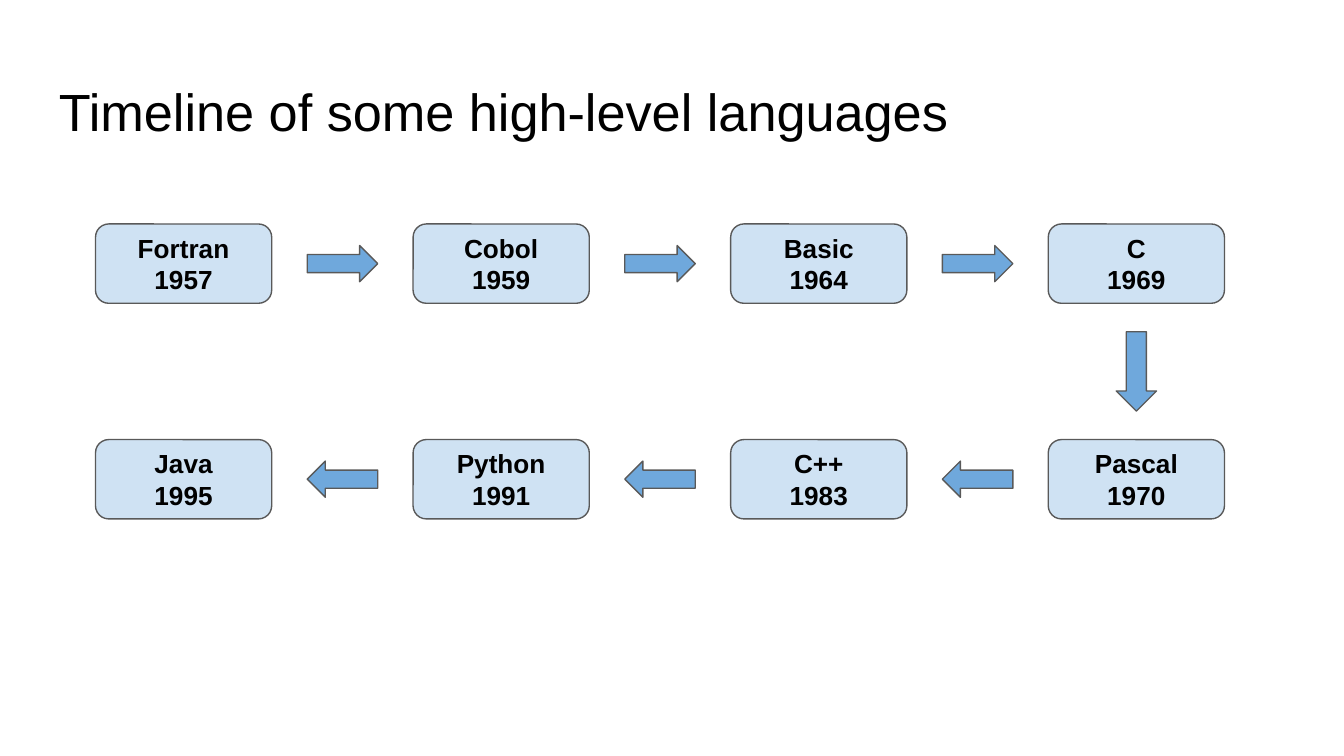
from pptx import Presentation
from pptx.dml.color import RGBColor
from pptx.enum.shapes import MSO_SHAPE
from pptx.enum.text import MSO_ANCHOR, PP_ALIGN
from pptx.util import Pt

COLORS = {"text": "000000", "box": "CFE2F3", "arrow": "6FA8DC", "outline": "595959"}
LANGUAGES = [
    ("Fortran", 1957), ("Cobol", 1959), ("Basic", 1964), ("C", 1969),
    ("Pascal", 1970), ("C++", 1983), ("Python", 1991), ("Java", 1995),
]
COLUMNS = 4
BOX_WIDTH, BOX_HEIGHT = 94.4, 42.5
ARROW_LENGTH, ARROW_WIDTH = 37.8, 19.4
DOWN_LENGTH, DOWN_WIDTH = 42.5, 21.6


def write_lines(shape, lines, size, bold=False, alignment=PP_ALIGN.LEFT, anchor=MSO_ANCHOR.TOP):
    """Fill a shape with one paragraph per line."""
    frame = shape.text_frame
    frame.word_wrap = True
    frame.vertical_anchor = anchor
    frame.margin_left = frame.margin_right = frame.margin_top = frame.margin_bottom = Pt(7.2)
    frame.text = "\n".join(lines)
    for paragraph in frame.paragraphs:
        paragraph.alignment = alignment
        paragraph.font.name = "Arial"
        paragraph.font.size = Pt(size)
        paragraph.font.bold = bold
        paragraph.font.color.rgb = RGBColor.from_string(COLORS["text"])


def add_centred_shape(slide, kind, center_x, center_y, width, height, color):
    """Add an outlined preset shape around a centre point."""
    shape = slide.shapes.add_shape(
        kind, Pt(center_x - width / 2), Pt(center_y - height / 2), Pt(width), Pt(height))
    shape.shadow.inherit = False
    shape.fill.solid()
    shape.fill.fore_color.rgb = RGBColor.from_string(COLORS[color])
    shape.line.color.rgb = RGBColor.from_string(COLORS["outline"])
    shape.line.width = Pt(0.75)
    return shape


def add_title(slide, left, top, width, height):
    """Add the slide title."""
    title = slide.shapes.add_textbox(Pt(left), Pt(top), Pt(width), Pt(height))
    write_lines(title, ["Timeline of some high-level languages"], 28)


def add_arrow(slide, start, end):
    """Add a block arrow midway between two box centres."""
    (start_x, start_y), (end_x, end_y) = start, end
    if start_y != end_y:
        kind, width, height = MSO_SHAPE.DOWN_ARROW, DOWN_WIDTH, DOWN_LENGTH
    else:
        kind = MSO_SHAPE.RIGHT_ARROW if end_x > start_x else MSO_SHAPE.LEFT_ARROW
        width, height = ARROW_LENGTH, ARROW_WIDTH
    add_centred_shape(
        slide, kind, (start_x + end_x) / 2, (start_y + end_y) / 2, width, height, "arrow")


def add_timeline(slide, left, top, width, height):
    """Lay out the languages rightwards, then back leftwards, joined by arrows."""
    column_step = (width - BOX_WIDTH) / (COLUMNS - 1)
    row_step = height - BOX_HEIGHT
    centers = []
    for index, (language, year) in enumerate(LANGUAGES):
        row, column = divmod(index, COLUMNS)
        if row % 2:
            column = COLUMNS - 1 - column
        center = (left + BOX_WIDTH / 2 + column * column_step,
                  top + BOX_HEIGHT / 2 + row * row_step)
        box = add_centred_shape(
            slide, MSO_SHAPE.ROUNDED_RECTANGLE, *center, BOX_WIDTH, BOX_HEIGHT, "box")
        write_lines(box, [language, str(year)], 14, True, PP_ALIGN.CENTER, MSO_ANCHOR.MIDDLE)
        centers.append(center)
    for start, end in zip(centers, centers[1:]):
        add_arrow(slide, start, end)


def main():
    """Build and save the slide."""
    presentation = Presentation()
    presentation.slide_width, presentation.slide_height = Pt(720), Pt(405)
    slide = presentation.slides.add_slide(presentation.slide_layouts[6])
    add_title(slide, 24.5, 35.4, 671, 45.1)
    add_timeline(slide, 51.2, 120, 604.8, 158)
    presentation.save("out.pptx")


if __name__ == "__main__":
    main()
